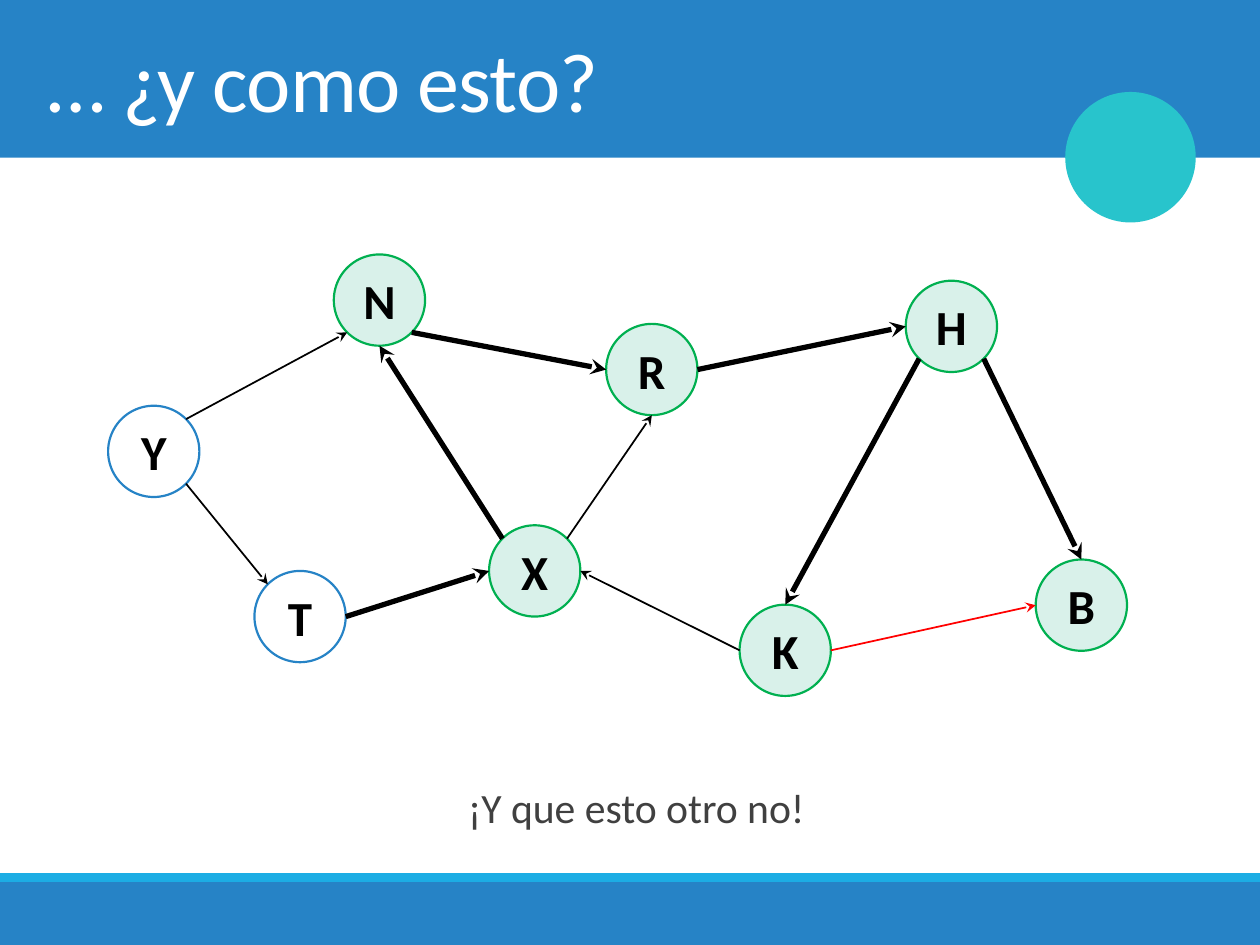
import math

from lxml import etree
from pptx import Presentation
from pptx import util as u
from pptx.dml.color import RGBColor
from pptx.enum import shapes, text
from pptx.oxml.ns import qn

COLORS = {
    "band": "2683C6",
    "stripe": "1CADE4",
    "badge": "28C4CC",
    "plain": "FFFFFF",
    "visited": "D9F1EA",
    "visited_line": "00B050",
    "ink": "000000",
    "rejected": "FF0000",
    "caption": "404040",
}
WIDTH, HEIGHT = 25.4, 19.05
DIAMETER = 1.84
ANGLES = {"right": 0, "bottom_right": 45, "bottom": 90, "bottom_left": 135,
          "left": 180, "top_left": 225, "top": 270, "top_right": 315}

NODES = {
    "Y": (2.18, 8.18, False),
    "N": (6.73, 5.13, True),
    "T": (5.13, 11.51, False),
    "X": (9.86, 10.59, True),
    "R": (12.22, 6.53, True),
    "K": (14.91, 12.19, True),
    "H": (18.26, 5.66, True),
    "B": (20.88, 11.28, True),
}
THIN, THICK = 1, 3
EDGES = [
    ("Y", "top_right", "N", "bottom_left", THIN, "ink"),
    ("Y", "bottom_right", "T", "top_left", THIN, "ink"),
    ("N", "bottom_right", "R", "left", THICK, "ink"),
    ("T", "right", "X", "left", THICK, "ink"),
    ("X", "top_right", "R", "bottom", THIN, "ink"),
    ("R", "right", "H", "left", THICK, "ink"),
    ("H", "bottom_left", "K", "top", THICK, "ink"),
    ("X", "top_left", "N", "bottom", THICK, "ink"),
    ("K", "left", "X", "right", THIN, "ink"),
    ("K", "right", "B", "left", THIN, "rejected"),
    ("H", "bottom_right", "B", "top", THICK, "ink"),
]


def rgb(name):
    return RGBColor.from_string(COLORS[name])


def node_point(node, side):
    left, top, _ = NODES[node]
    radius = DIAMETER / 2
    angle = math.radians(ANGLES[side])
    return (u.Cm(left + radius + radius * math.cos(angle)),
            u.Cm(top + radius + radius * math.sin(angle)))


class SlideBuilder:
    font = "Calibri"

    def __init__(self, slide):
        self.slide = slide

    def shape(self, kind, left, top, width, height, fill, line=None, weight=1):
        shape = self.slide.shapes.add_shape(
            kind, u.Cm(left), u.Cm(top), u.Cm(width), u.Cm(height))
        shape.shadow.inherit = False
        shape.fill.solid()
        shape.fill.fore_color.rgb = rgb(fill)
        if line:
            shape.line.color.rgb = rgb(line)
            shape.line.width = u.Pt(weight)
        else:
            shape.line.fill.background()
        return shape

    def band(self, top, height, fill):
        self.shape(shapes.MSO_SHAPE.RECTANGLE, 0, top, WIDTH, height, fill)

    def circle(self, left, top, diameter, fill, line, weight):
        return self.shape(shapes.MSO_SHAPE.OVAL, left, top, diameter, diameter,
                          fill, line, weight)

    def set_text(self, frame, words, size, color, align, bold=False):
        frame.text = words
        paragraph = frame.paragraphs[0]
        paragraph.alignment = align
        run = paragraph.runs[0]
        run.font.name = self.font
        run.font.size = u.Pt(size)
        run.font.bold = bold
        run.font.color.rgb = rgb(color)

    def textbox(self, top, height, words, size, color, align):
        box = self.slide.shapes.add_textbox(
            u.Cm(0.7), u.Cm(top), u.Cm(24), u.Cm(height))
        box.text_frame.word_wrap = True
        self.set_text(box.text_frame, words, size, color, align)
        return box.text_frame

    def title(self, words):
        frame = self.textbox(0, 3.18, words, 48, "plain", text.PP_ALIGN.LEFT)
        frame.vertical_anchor = text.MSO_ANCHOR.MIDDLE
        frame.paragraphs[0].runs[0]._r.get_or_add_rPr().set("spc", "-50")

    def caption(self, words):
        frame = self.textbox(15.34, 1.6, words, 23.8, "caption",
                             text.PP_ALIGN.CENTER)
        frame.margin_left = u.Cm(0.5)
        frame.paragraphs[0].line_spacing = 1.3

    def node(self, name):
        left, top, visited = NODES[name]
        fill, line = ("visited", "visited_line") if visited else ("plain", "band")
        circle = self.circle(left, top, DIAMETER, fill, line, 1.25)
        circle.text_frame.vertical_anchor = text.MSO_ANCHOR.MIDDLE
        self.set_text(circle.text_frame, name, 28, "ink",
                      text.PP_ALIGN.CENTER, bold=True)

    def arrow(self, start, start_side, end, end_side, weight, color):
        connector = self.slide.shapes.add_connector(
            shapes.MSO_CONNECTOR.STRAIGHT,
            *node_point(start, start_side), *node_point(end, end_side))
        connector.line.color.rgb = rgb(color)
        connector.line.width = u.Pt(weight)
        properties = connector._element.spPr
        etree.SubElement(properties.find(qn("a:ln")), qn("a:tailEnd"),
                         type="stealth")
        etree.SubElement(properties, qn("a:effectLst"))


def main():
    presentation = Presentation()
    presentation.slide_width = u.Cm(WIDTH)
    presentation.slide_height = u.Cm(HEIGHT)
    builder = SlideBuilder(
        presentation.slides.add_slide(presentation.slide_layouts[6]))

    builder.band(0, 3.18, "band")
    builder.band(17.78, 1.27, "band")
    builder.band(17.6, 0.18, "stripe")
    builder.circle(21.51, 1.89, 2.56, "badge", "badge", 2)
    builder.title("… ¿y como esto?")
    builder.caption("¡Y que esto otro no!")
    for name in NODES:
        builder.node(name)
    for edge in EDGES:
        builder.arrow(*edge)

    presentation.save("out.pptx")


if __name__ == "__main__":
    main()
